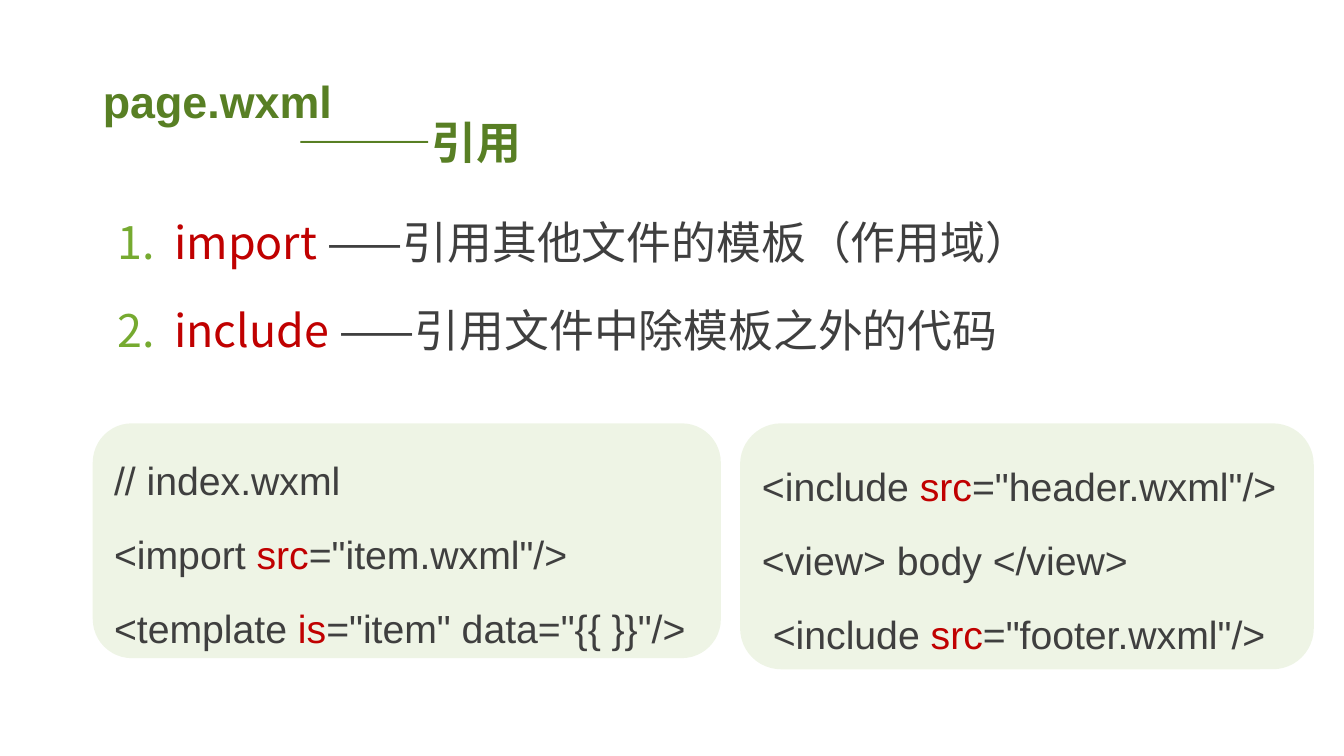
"""Build the page.wxml reference slide with its list and two code panels."""
from lxml.etree import SubElement
from pptx import Presentation
from pptx.dml.color import RGBColor
from pptx.enum.shapes import MSO_SHAPE
from pptx.enum.text import MSO_ANCHOR, PP_ALIGN
from pptx.oxml.ns import qn
from pptx.util import Inches, Pt

COLORS = {"title": "587F24", "green": "76AA30", "key": "C00000", "text": "3F3F3F"}
LATIN, CJK = "Arial", "Noto Sans CJK SC"

TITLE = [[("page.wxml", "title", LATIN)], [("———引用", "title", CJK)]]
TOPICS = [
    [("import ", "key"), ("——引用其他文件的模板（作用域）", "text")],
    [("include ", "key"), ("——引用文件中除模板之外的代码", "text")],
]
PANELS = [
    ((0.92, 4.2, 6.23, 2.33), [
        [("// index.wxml", "text")],
        [("<import ", "text"), ("src", "key"), ('="item.wxml"/>', "text")],
        [("<template ", "text"), ("is", "key"), ('="item" data="{{ }}"/>', "text")],
    ]),
    ((7.34, 4.2, 5.69, 2.44), [
        [("<include ", "text"), ("src", "key"), ('="header.wxml"/>', "text")],
        [("<view> body </view>", "text")],
        [(" <include ", "text"), ("src", "key"), ('="footer.wxml"/>', "text")],
    ]),
]


def write(tf, lines, size=32, font=CJK, bold=False, spacing=1.0, anchor=MSO_ANCHOR.TOP):
    """Fill a text frame with lines of (text, colour[, font]) runs."""
    tf.word_wrap = True
    tf.vertical_anchor = anchor
    for i, line in enumerate(lines):
        p = tf.paragraphs[0] if i == 0 else tf.add_paragraph()
        p.alignment = PP_ALIGN.LEFT
        p.line_spacing = spacing
        for text, color, *face in line:
            r = p.add_run()
            r.text = text
            r.font.size = Pt(size)
            r.font.bold = bold
            r.font.name = face[0] if face else font
            r.font.color.rgb = RGBColor.from_string(COLORS[color])
            SubElement(r.font._element, qn("a:ea"), typeface=CJK)
    return tf.paragraphs


def indent(p, left, first=0):
    """Set the left margin and first-line indent of a paragraph."""
    pPr = p._p.get_or_add_pPr()
    pPr.set("marL", str(Inches(left)))
    pPr.set("indent", str(Inches(first)))
    return pPr


prs = Presentation()
prs.slide_width, prs.slide_height = Inches(13.33), Inches(7.5)
s = prs.slides.add_slide(prs.slide_layouts[5])

title = s.shapes.title
title.left, title.top, title.width, title.height = map(Inches, (0.92, 0.49, 9.35, 1.22))
heading = write(title.text_frame, TITLE, bold=True, spacing=0.76, anchor=MSO_ANCHOR.BOTTOM)
indent(heading[1], 1.93)

topics = s.shapes.add_textbox(*map(Inches, (1.07, 1.73, 11.67, 2.4)))
for p in write(topics.text_frame, TOPICS, spacing=1.65):
    pPr = indent(p, 0.56, -0.56)
    SubElement(SubElement(pPr, qn("a:buClr")), qn("a:srgbClr"), val=COLORS["green"])
    SubElement(pPr, qn("a:buFont"), typeface=CJK)
    SubElement(pPr, qn("a:buAutoNum"), type="arabicPeriod")

for box, code in PANELS:
    sp = s.shapes.add_shape(MSO_SHAPE.ROUNDED_RECTANGLE, *map(Inches, box))
    sp.shadow.inherit = False
    sp.line.fill.background()
    sp.fill.solid()
    sp.fill.fore_color.rgb = RGBColor.from_string(COLORS["green"])
    tint = sp._element.spPr.find(qn("a:solidFill")).find(qn("a:srgbClr"))
    SubElement(tint, qn("a:alpha"), val="12000")
    write(sp.text_frame, code, size=28, font=LATIN, spacing=1.57, anchor=MSO_ANCHOR.MIDDLE)

prs.save("out.pptx")
